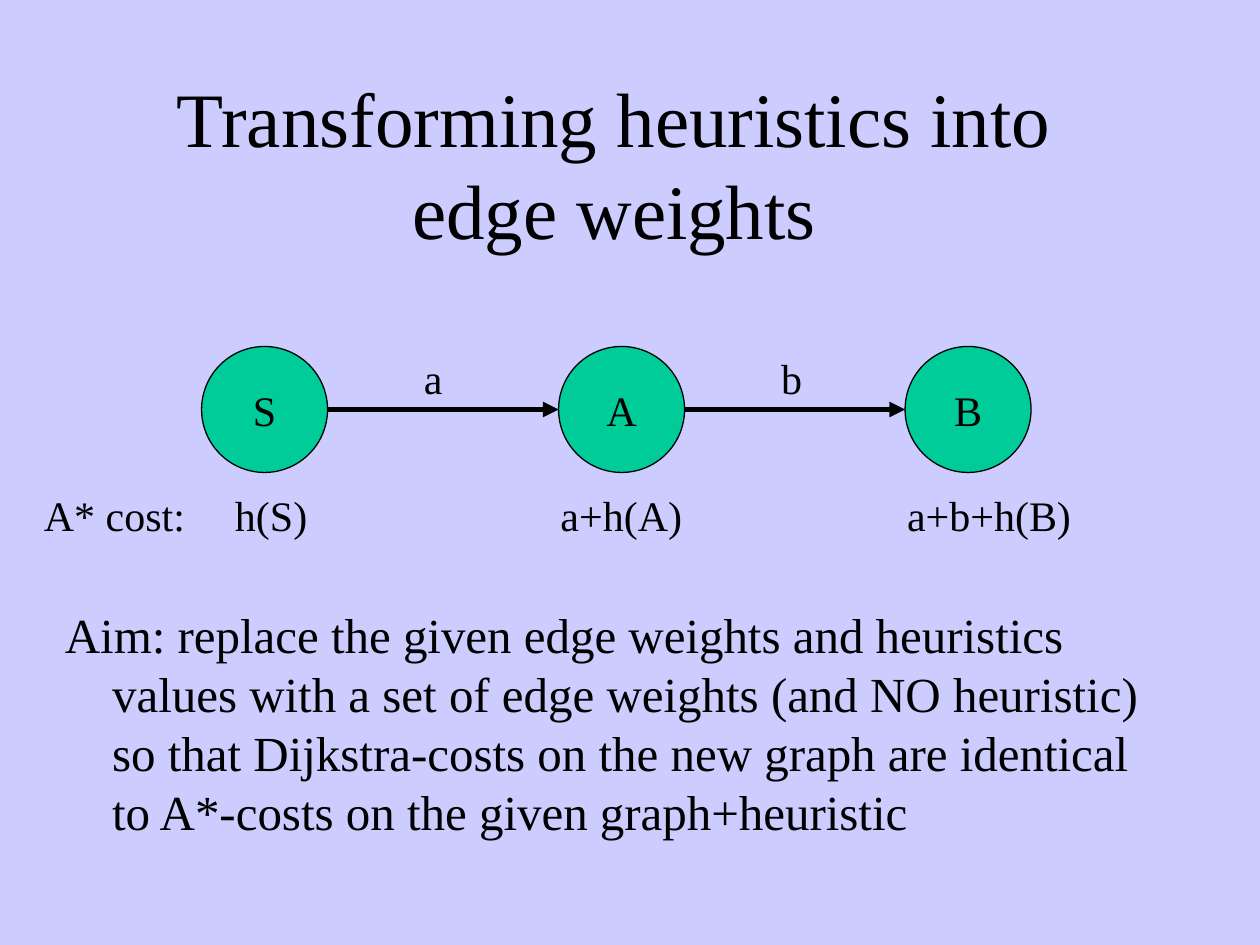
from dataclasses import dataclass

from lxml.etree import SubElement
from pptx import Presentation
from pptx.dml.color import RGBColor as RGB
from pptx.enum.shapes import MSO_CONNECTOR as CONN, MSO_SHAPE as SHAPE
from pptx.enum.text import MSO_ANCHOR as ANCHOR, MSO_AUTO_SIZE as FIT, PP_ALIGN as ALIGN
from pptx.oxml.ns import qn
from pptx.util import Pt


@dataclass(frozen=True)
class Theme:
    """Colours, font and type sizes of the slide."""
    back: RGB = RGB(0xCC, 0xCC, 0xFF)
    node: RGB = RGB(0x00, 0xCC, 0x99)
    ink: RGB = RGB(0, 0, 0)
    font: str = "Times New Roman"
    title: int = 44
    body: int = 28
    label: int = 24


THEME = Theme()


def write(sp, text, size, align=ALIGN.LEFT, anchor=ANCHOR.TOP, wrap=True):
    """Write one paragraph in a shape and return the paragraph."""
    tf = sp.text_frame
    tf.word_wrap = wrap
    tf.vertical_anchor = anchor
    p = tf.paragraphs[0]
    p.alignment = align
    r = p.add_run()
    r.text = text
    r.font.name, r.font.size = THEME.font, Pt(size)
    r.font.color.rgb = THEME.ink
    return p


def add_title(slide, box, text):
    """Place the centred title in its box."""
    sp = slide.shapes.add_textbox(*map(Pt, box))
    write(sp, text, THEME.title, ALIGN.CENTER, ANCHOR.MIDDLE)


def add_aim(slide, box, text):
    """Place the body paragraph with its hanging indent."""
    sp = slide.shapes.add_textbox(*map(Pt, box))
    p = write(sp, text, THEME.body)
    p.space_before = Pt(7)
    pPr = p._p.get_or_add_pPr()
    pPr.set("marL", str(Pt(27)))
    pPr.set("indent", str(Pt(-27)))


def add_label(slide, x, y, w, text):
    """Place a one-line label that fits its text."""
    sp = slide.shapes.add_textbox(Pt(x), Pt(y), Pt(w), Pt(36))
    write(sp, text, THEME.label, wrap=False)
    sp.text_frame.auto_size = FIT.SHAPE_TO_FIT_TEXT


def add_node(slide, x, y, d, text):
    """Place a named graph node."""
    sp = slide.shapes.add_shape(SHAPE.OVAL, Pt(x), Pt(y), Pt(d), Pt(d))
    sp.shadow.inherit = False
    sp.fill.solid()
    sp.fill.fore_color.rgb = THEME.node
    sp.line.color.rgb, sp.line.width = THEME.ink, Pt(0.75)
    write(sp, text, THEME.label, ALIGN.CENTER, ANCHOR.MIDDLE, wrap=False)


def add_edge(slide, x1, x2, y):
    """Draw a horizontal arrow from x1 to x2."""
    cxn = slide.shapes.add_connector(CONN.STRAIGHT, Pt(x1), Pt(y), Pt(x2), Pt(y))
    cxn.line.color.rgb, cxn.line.width = THEME.ink, Pt(3)
    SubElement(cxn.line._get_or_add_ln(), qn("a:tailEnd"), type="triangle")
    SubElement(cxn._element.spPr, qn("a:effectLst"))


def add_graph(slide, box, nodes, edges, caption):
    """Place the chain of nodes, its weighted edges and the row of costs."""
    left, top, _, height = box
    d, cost_y = 72, top + height - 36
    for name, x, cost, shift, w in nodes:
        add_node(slide, left + x, top, d, name)
        add_label(slide, left + x + shift, cost_y, w, cost)
    for (weight, w), start, end in zip(edges, nodes, nodes[1:]):
        x1, x2 = left + start[1], left + end[1]
        add_edge(slide, x1 + d, x2, top + d / 2)
        add_label(slide, x1 + 120, top, w, weight)
    add_label(slide, left, cost_y, 96, caption)


def main():
    """Build and save the slide."""
    prs = Presentation()
    prs.slide_width, prs.slide_height = Pt(720), Pt(540)
    slide = prs.slides.add_slide(prs.slide_layouts[6])
    fill = slide.background.fill
    fill.solid()
    fill.fore_color.rgb = THEME.back

    add_title(slide, (54, 48, 594, 90), "Transforming heuristics into edge weights")
    add_aim(slide, (30, 342, 636, 156),
            "Aim: replace the given edge weights and heuristics values with a set of "
            "edge weights (and NO heuristic) so that Dijkstra-costs on the new graph "
            "are identical to A*-costs on the given graph+heuristic")
    nodes = [("S", 97.2, "h(S)", 12, 57),
             ("A", 301.2, "a+h(A)", -6, 86),
             ("B", 499.2, "a+b+h(B)", -6, 110)]
    add_graph(slide, (18, 198, 601, 114), nodes, [("a", 26), ("b", 27)], "A* cost:")
    prs.save("out.pptx")


if __name__ == "__main__":
    main()
